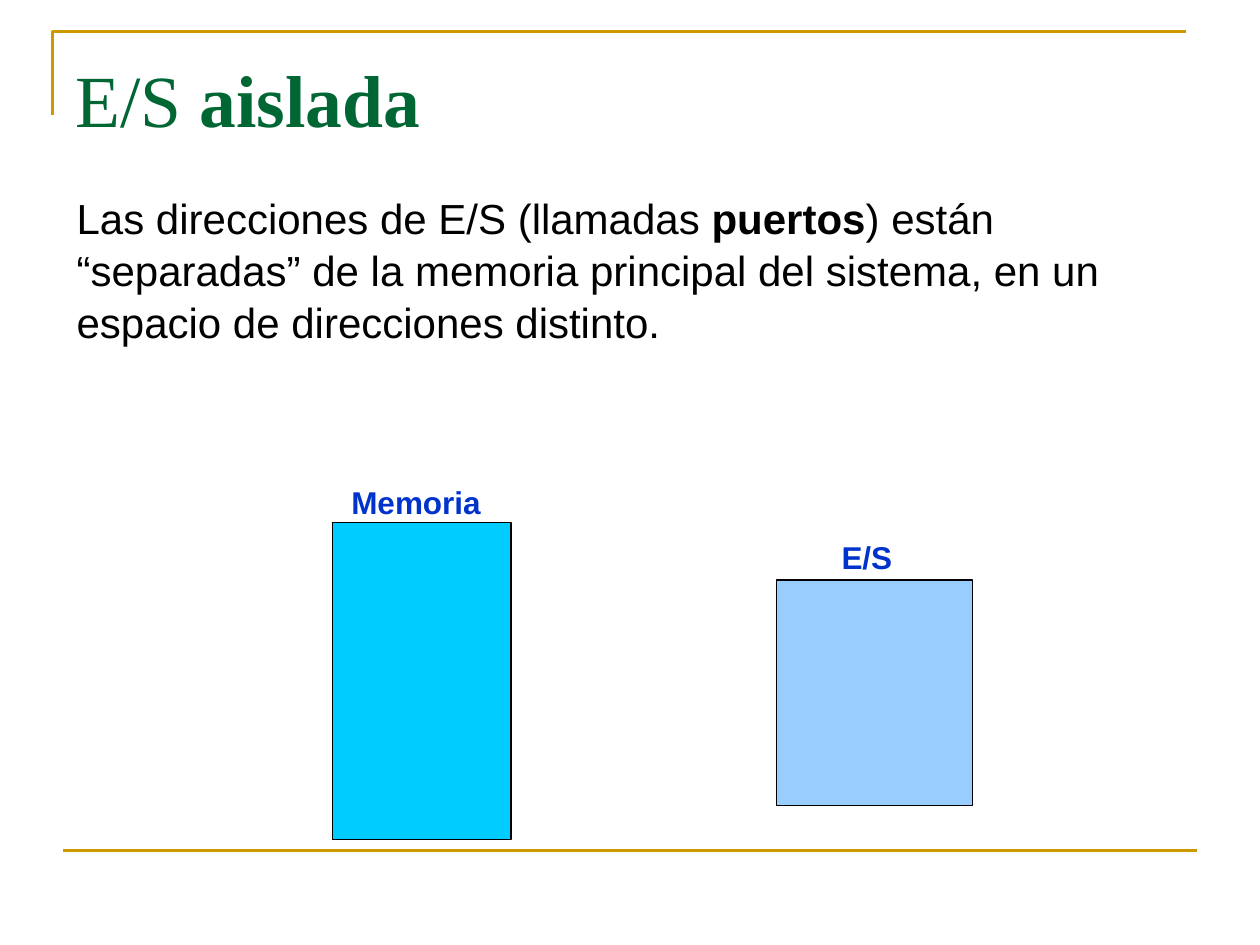
from dataclasses import dataclass

from lxml import etree
from pptx import Presentation
from pptx.dml.color import RGBColor
from pptx.enum import shapes, text
from pptx.oxml import ns
from pptx.util import Pt

GOLD, GREEN, BLUE, BLACK = "CC9900", "006633", "0033CC", "000000"


@dataclass
class Span:
    words: str
    bold: bool = False


@dataclass
class TextBlock:
    spans: list[Span]
    left: float
    top: float
    width: float
    height: float
    size: float
    color: str
    font: str = "Arial"
    wrap: bool = True
    inset_top: float = 3.6
    line_spacing: float = 1.0


@dataclass
class AddressSpace:
    left: float
    top: float
    width: float
    height: float
    fill: str


def rgb(value: str) -> RGBColor:
    return RGBColor.from_string(value)


def draw_text(page, block: TextBlock) -> None:
    box = page.shapes.add_textbox(
        Pt(block.left), Pt(block.top), Pt(block.width), Pt(block.height)
    )
    frame = box.text_frame
    frame.word_wrap = block.wrap
    frame.margin_top = Pt(block.inset_top)
    if not block.wrap:
        frame.auto_size = text.MSO_AUTO_SIZE.SHAPE_TO_FIT_TEXT
    para = frame.paragraphs[0]
    para.line_spacing = block.line_spacing
    para.font.name = block.font
    para.font.size = Pt(block.size)
    para.font.color.rgb = rgb(block.color)
    for span in block.spans:
        run = para.add_run()
        run.text = span.words
        run.font.bold = span.bold


def draw_space(page, space: AddressSpace) -> None:
    box = page.shapes.add_shape(
        shapes.MSO_SHAPE.RECTANGLE,
        Pt(space.left), Pt(space.top), Pt(space.width), Pt(space.height),
    )
    box.shadow.inherit = False
    box.fill.solid()
    box.fill.fore_color.rgb = rgb(space.fill)
    box.line.color.rgb = rgb(BLACK)
    box.line.width = Pt(0.75)


def draw_frame(page) -> None:
    builder = page.shapes.build_freeform(Pt(30), Pt(66))
    builder.add_line_segments([(Pt(30), Pt(18)), (Pt(678), Pt(18))], close=False)
    corner = builder.convert_to_shape()
    corner.shadow.inherit = False
    corner.fill.background()
    rule = page.shapes.add_connector(
        shapes.MSO_CONNECTOR.STRAIGHT, Pt(36), Pt(486), Pt(684), Pt(486)
    )
    etree.SubElement(rule.line._get_or_add_ln().getparent(), ns.qn("a:effectLst"))
    for item in (corner, rule):
        item.line.color.rgb = rgb(GOLD)
        item.line.width = Pt(1.5)


TEXTS = [
    TextBlock([Span("E/S "), Span("aislada", True)],
              36, 21.6, 648, 90, 42, GREEN, "Times New Roman", inset_top=9),
    TextBlock([Span("Las direcciones de E/S (llamadas "), Span("puertos", True),
               Span(") están “separadas” de la memoria principal del sistema, "
                    "en un espacio de direcciones distinto.")],
              36.7, 105.8, 646.6, 373.7, 24, BLACK, line_spacing=1.03),
    TextBlock([Span("E/S", True)], 473.8, 303.8, 43.2, 28.8, 18, BLUE, wrap=False),
    TextBlock([Span("Memoria", True)], 193.7, 272.2, 88.6, 28.8, 18, BLUE, wrap=False),
]
SPACES = [
    AddressSpace(190, 298.4, 102, 181.4, "00CCFF"),
    AddressSpace(443.6, 331.4, 112.2, 128.8, "99CCFF"),
]


def main() -> None:
    deck = Presentation()
    deck.slide_width, deck.slide_height = Pt(720), Pt(540)
    page = deck.slides.add_slide(deck.slide_layouts[6])
    draw_frame(page)
    for space in SPACES:
        draw_space(page, space)
    for block in TEXTS:
        draw_text(page, block)
    deck.save("out.pptx")


if __name__ == "__main__":
    main()
